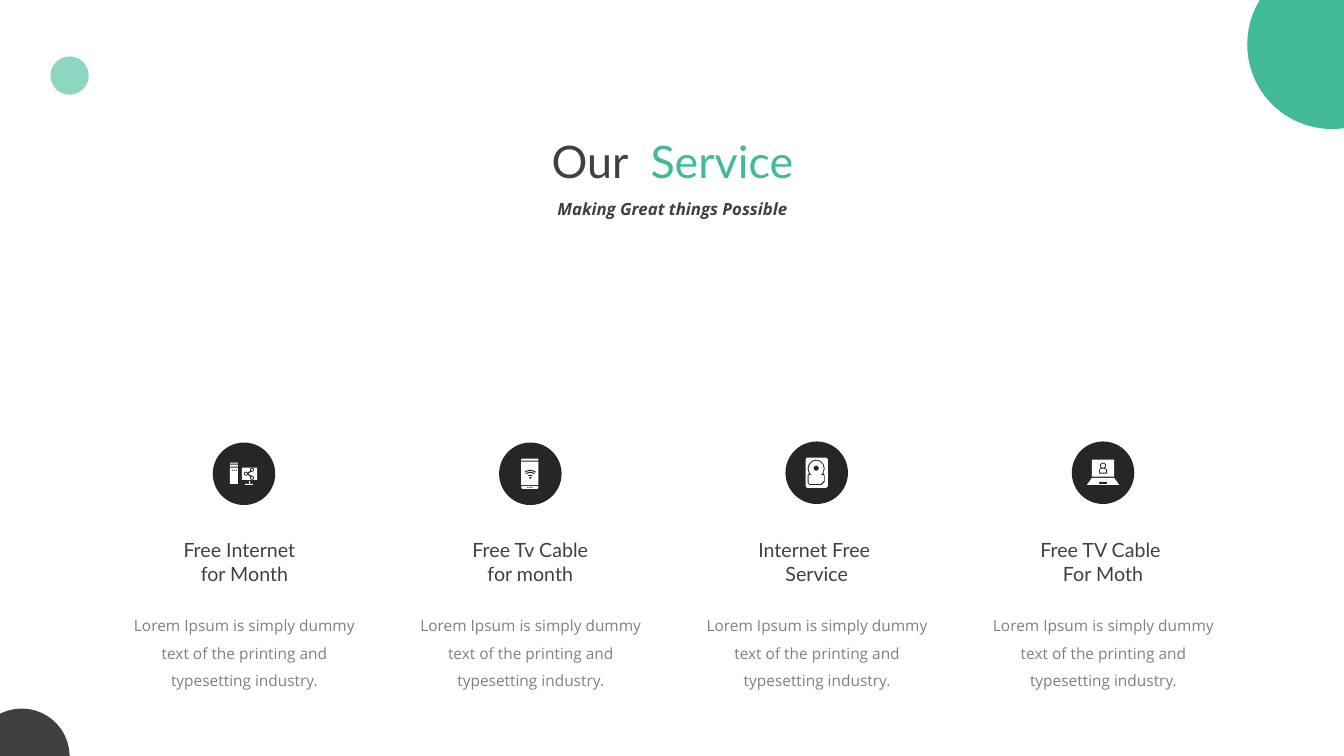
from dataclasses import dataclass

import pptx
import pptx.dml.color
import pptx.enum.shapes
import pptx.enum.text
import pptx.shapes.autoshape
import pptx.util

Preset = pptx.enum.shapes.MSO_SHAPE
PX = 9144  # EMU per px, 100 px to the inch


@dataclass(frozen=True)
class Theme:
    green: str = "42BA97"
    mint: str = "8DD6C1"
    dark: str = "404040"
    badge: str = "262626"
    white: str = "FFFFFF"
    grey: str = "808080"
    heading_font: str = "Lato"
    body_font: str = "Open Sans"
    title_size: int = 32
    heading_size: int = 14
    subtitle_size: int = 12
    body_size: int = 11


THEME = Theme()


@dataclass(frozen=True)
class Part:
    """A preset shape; inside an icon, measured from the badge's corner."""
    preset: Preset
    left: int
    top: int
    width: int
    height: int
    fill: str = THEME.white
    adjustments: tuple[float, ...] = ()
    rotation: int = 0


@dataclass(frozen=True)
class Polygon:
    points: tuple[tuple[int, int], ...]
    fill: str = THEME.white


@dataclass(frozen=True)
class Span:
    text: str
    color: str


@dataclass(frozen=True)
class TextBox:
    left: int
    top: int
    width: int
    height: int
    paras: tuple[tuple[Span, ...], ...]
    font: dict
    line_spacing: float | None = None


@dataclass(frozen=True)
class Service:
    heading: tuple[str, str]
    heading_width: int
    badge_top: int
    icon: tuple[Part | Polygon, ...]


def share_node(x: int, y: int) -> tuple[Part, Part]:
    return (Part(Preset.OVAL, x - 2, y - 2, 4, 4, THEME.badge),
            Part(Preset.OVAL, x - 1, y - 1, 2, 2))


def dots(lefts: tuple[int, ...], top: int) -> tuple[Part, ...]:
    return tuple(Part(Preset.RECTANGLE, left, top, 1, 1, THEME.badge) for left in lefts)


def wifi_arc(radius: int) -> Part:
    """Upper quarter of a ring; preset angles count 0.6 per degree."""
    return Part(Preset.BLOCK_ARC, 31 - radius, 35 - radius, 2 * radius, 2 * radius,
                THEME.badge, (225 * 0.6, 315 * 0.6, 0.5 / radius))


COMPUTER = (
    Part(Preset.RECTANGLE, 17, 25, 8, 16),
    Part(Preset.RECTANGLE, 17, 22, 8, 2),
    Part(Preset.RECTANGLE, 17, 20, 8, 1),
    *dots((19, 21, 23), 27),
    Part(Preset.RECTANGLE, 29, 25, 15, 12),
    Polygon(((39, 27), (40, 28), (35, 31), (40, 34), (39, 35), (33, 31)), THEME.badge),
    *share_node(33, 31), *share_node(39, 27), *share_node(39, 35),
    Part(Preset.RECTANGLE, 36, 38, 1, 3),
    Part(Preset.RECTANGLE, 32, 41, 8, 1),
)
PHONE = (
    Part(Preset.ROUND_2_SAME_RECTANGLE, 22, 16, 17, 2, adjustments=(0.5, 0)),
    Part(Preset.RECTANGLE, 22, 19, 17, 23),
    Part(Preset.ROUND_2_SAME_RECTANGLE, 22, 43, 17, 3, adjustments=(0.5, 0), rotation=180),
    *dots((28, 30, 32), 44),
    *(wifi_arc(radius) for radius in (8, 6, 3)),
    Part(Preset.OVAL, 30, 34, 2, 2, THEME.badge),
)
DISK = (
    Part(Preset.ROUNDED_RECTANGLE, 20, 16, 22, 30, adjustments=(0.1,)),
    Part(Preset.OVAL, 22, 18, 17, 18, THEME.badge),
    Polygon(((22, 33), (24, 32), (38, 32), (39, 34), (39, 40), (36, 43), (24, 43), (22, 41)),
            THEME.badge),
    Part(Preset.OVAL, 23, 19, 15, 16),
    Polygon(((23, 34), (24, 33), (37, 33), (38, 34), (38, 39), (35, 42), (24, 42), (23, 41))),
    Part(Preset.OVAL, 28, 24, 5, 5, THEME.badge),
)
LAPTOP = (
    Polygon(((20, 36), (42, 36), (47, 43), (15, 43))),
    Part(Preset.ROUNDED_RECTANGLE, 27, 40, 8, 2, THEME.badge, (0.5,)),
    Part(Preset.RECTANGLE, 20, 18, 22, 17),
    Part(Preset.OVAL, 28, 21, 6, 6, THEME.badge),
    Part(Preset.ROUND_2_SAME_RECTANGLE, 27, 26, 8, 6, THEME.badge, (0.5, 0)),
    Part(Preset.OVAL, 29, 22, 4, 4),
    Part(Preset.ROUND_2_SAME_RECTANGLE, 28, 27, 6, 4, THEME.white, (0.5, 0)),
)
SERVICES = (
    Service(("Free Internet  ", "for Month"), 187, 439, COMPUTER),
    Service(("Free Tv Cable", " for month "), 216, 439, PHONE),
    Service(("Internet Free ", "Service"), 222, 438, DISK),
    Service(("Free TV Cable ", "For Moth"), 294, 438, LAPTOP),
)
FIRST_CENTRE, COLUMN_PITCH = 242, 284
BADGE, BODY_WIDTH = 62, 259
BODY = "Lorem Ipsum is simply dummy text of the printing and typesetting industry."

HEADING_FONT = {"name": THEME.heading_font, "size": pptx.util.Pt(THEME.heading_size)}
BODY_FONT = {"name": THEME.body_font, "size": pptx.util.Pt(THEME.body_size)}
TITLE_FONT = {"name": THEME.heading_font, "size": pptx.util.Pt(THEME.title_size)}
SUBTITLE_FONT = {"name": THEME.body_font, "size": pptx.util.Pt(THEME.subtitle_size),
                 "bold": True, "italic": True}
TITLES = (
    TextBox(419, 128, 496, 64,
            ((Span("Our  ", THEME.dark), Span("Service", THEME.green)),), TITLE_FONT),
    TextBox(512, 192, 310, 30,
            ((Span("Making Great things Possible", THEME.dark),),), SUBTITLE_FONT),
)
CORNER_CIRCLES = (
    Part(Preset.OVAL, -26, 703, 95, 95, THEME.dark),
    Part(Preset.OVAL, 50, 56, 38, 38, THEME.mint),
    Part(Preset.OVAL, 1237, -40, 168, 168, THEME.green),
)


def paint(shape: pptx.shapes.autoshape.Shape, color: str) -> None:
    shape.shadow.inherit = False
    shape.fill.solid()
    shape.fill.fore_color.rgb = pptx.dml.color.RGBColor.from_string(color)
    shape.line.fill.background()


def draw_part(shapes, part: Part | Polygon, left: int = 0, top: int = 0) -> None:
    if isinstance(part, Polygon):
        start, *rest = [(left + x, top + y) for x, y in part.points]
        builder = shapes.build_freeform(*start, scale=PX)
        builder.add_line_segments(rest)
        shape = builder.convert_to_shape()
    else:
        shape = shapes.add_shape(part.preset, (left + part.left) * PX, (top + part.top) * PX,
                                 part.width * PX, part.height * PX)
        for index, value in enumerate(part.adjustments):
            shape.adjustments[index] = value
        shape.rotation = part.rotation
    paint(shape, part.fill)


def draw_text(shapes, text: TextBox) -> None:
    box = shapes.add_textbox(*(n * PX for n in (text.left, text.top, text.width, text.height)))
    frame = box.text_frame
    frame.word_wrap = True
    frame.auto_size = pptx.enum.text.MSO_AUTO_SIZE.SHAPE_TO_FIT_TEXT
    for index, spans in enumerate(text.paras):
        para = frame.add_paragraph() if index else frame.paragraphs[0]
        para.alignment = pptx.enum.text.PP_ALIGN.CENTER
        para.line_spacing = text.line_spacing
        for span in spans:
            run = para.add_run()
            run.text = span.text
            for name, value in text.font.items():
                setattr(run.font, name, value)
            run.font.color.rgb = pptx.dml.color.RGBColor.from_string(span.color)


def draw_service(shapes, service: Service, centre: int) -> None:
    draw_text(shapes, TextBox(centre - BODY_WIDTH // 2, 597, BODY_WIDTH, 90,
                              ((Span(BODY, THEME.grey),),), BODY_FONT, 1.5))
    draw_text(shapes, TextBox(centre - service.heading_width // 2, 529, service.heading_width, 57,
                              tuple((Span(line, THEME.dark),) for line in service.heading),
                              HEADING_FONT))
    group = shapes.add_group_shape()
    for part in (Part(Preset.OVAL, 0, 0, BADGE, BADGE, THEME.badge), *service.icon):
        draw_part(group.shapes, part, centre - BADGE // 2, service.badge_top)


def main() -> None:
    deck = pptx.Presentation()
    deck.slide_width, deck.slide_height = 1333 * PX, 750 * PX
    page = deck.slides.add_slide(deck.slide_layouts[6])
    for column, service in enumerate(SERVICES):
        draw_service(page.shapes, service, FIRST_CENTRE + column * COLUMN_PITCH)
    for text in TITLES:
        draw_text(page.shapes, text)
    for circle in CORNER_CIRCLES:
        draw_part(page.shapes, circle)
    deck.save("out.pptx")


if __name__ == "__main__":
    main()
